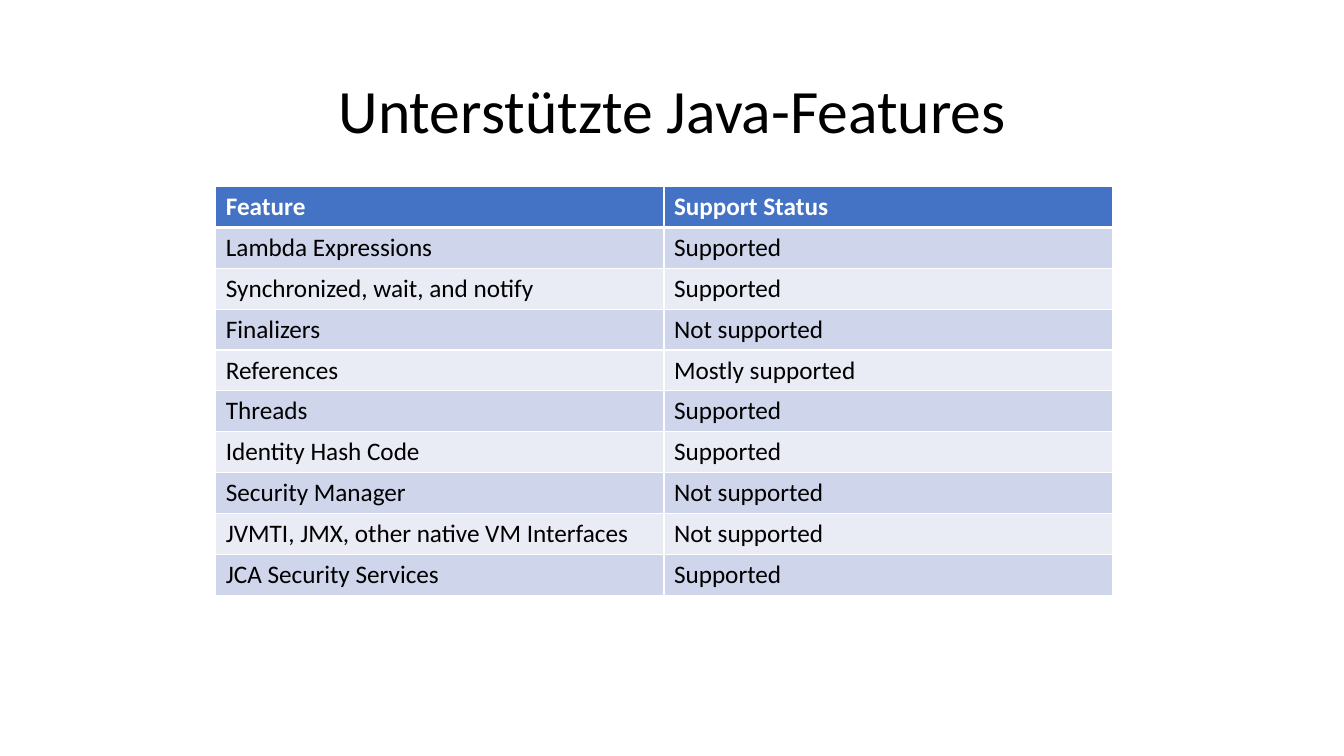
"""Build a slide listing which Java features are supported."""
import pptx
import pptx.dml.color
import pptx.enum.text
import pptx.oxml
import pptx.oxml.ns
import pptx.util
from pptx.util import Inches

COLORS = {
    "header": "4472C4",
    "odd_row": "CFD5EA",
    "even_row": "E9EBF5",
    "border": "FFFFFF",
    "header_text": "FFFFFF",
    "text": "000000",
}
FEATURES = [
    ("Feature", "Support Status"),
    ("Lambda Expressions", "Supported"),
    ("Synchronized, wait, and notify", "Supported"),
    ("Finalizers", "Not supported"),
    ("References", "Mostly supported"),
    ("Threads", "Supported"),
    ("Identity Hash Code", "Supported"),
    ("Security Manager", "Not supported"),
    ("JVMTI, JMX, other native VM Interfaces", "Not supported"),
    ("JCA Security Services", "Supported"),
]


def rgb(name):
    return pptx.dml.color.RGBColor.from_string(COLORS[name])


def format_text(paragraph, color, size, bold=False):
    font = paragraph.font
    formats = {"name": "Calibri", "size": pptx.util.Pt(size), "bold": bold}
    for attribute, value in formats.items():
        setattr(font, attribute, value)
    font.color.rgb = rgb(color)


def add_title(slide, text):
    title = slide.shapes.title
    place = {"left": 0.92, "top": 0.4, "width": 11.5, "height": 1.45}
    for attribute, length in place.items():
        setattr(title, attribute, Inches(length))
    frame = title.text_frame
    frame.text = text
    frame.word_wrap = True
    frame.vertical_anchor = pptx.enum.text.MSO_ANCHOR.MIDDLE
    heading = frame.paragraphs[0]
    heading.alignment = pptx.enum.text.PP_ALIGN.CENTER
    heading.line_spacing = 0.9
    format_text(heading, "text", 44)


def set_borders(cell, widths):
    properties = cell._tc.get_or_add_tcPr()
    for position, (side, width) in enumerate(widths.items()):
        border = pptx.oxml.parse_xml(
            f'<a:ln{side} {pptx.oxml.ns.nsdecls("a")} w="{pptx.util.Pt(width)}">'
            f'<a:solidFill><a:srgbClr val="{COLORS["border"]}"/></a:solidFill>'
            f'</a:ln{side}>'
        )
        properties.insert(position, border)


def fill_cell(cell, text, row):
    is_header = row == 0
    band = "header" if is_header else "odd_row" if row % 2 else "even_row"
    cell.text = text
    cell.fill.solid()
    cell.fill.fore_color.rgb = rgb(band)
    format_text(cell.text_frame.paragraphs[0],
                "header_text" if is_header else "text", 18, is_header)
    set_borders(cell, {"L": 1, "R": 1, "T": 3 if row == 1 else 1,
                       "B": 3 if is_header else 1})


def add_feature_table(slide, features):
    table = slide.shapes.add_table(
        len(features), len(features[0]),
        Inches(2.14), Inches(1.85), Inches(8.89), Inches(4.05)).table
    for row, entries in enumerate(features):
        for column, text in enumerate(entries):
            fill_cell(table.cell(row, column), text, row)


def main():
    presentation = pptx.Presentation()
    presentation.slide_width = Inches(13.33)
    presentation.slide_height = Inches(7.5)
    slide = presentation.slides.add_slide(presentation.slide_layouts[5])
    add_title(slide, "Unterstützte Java-Features")
    add_feature_table(slide, FEATURES)
    presentation.save("out.pptx")


main()
